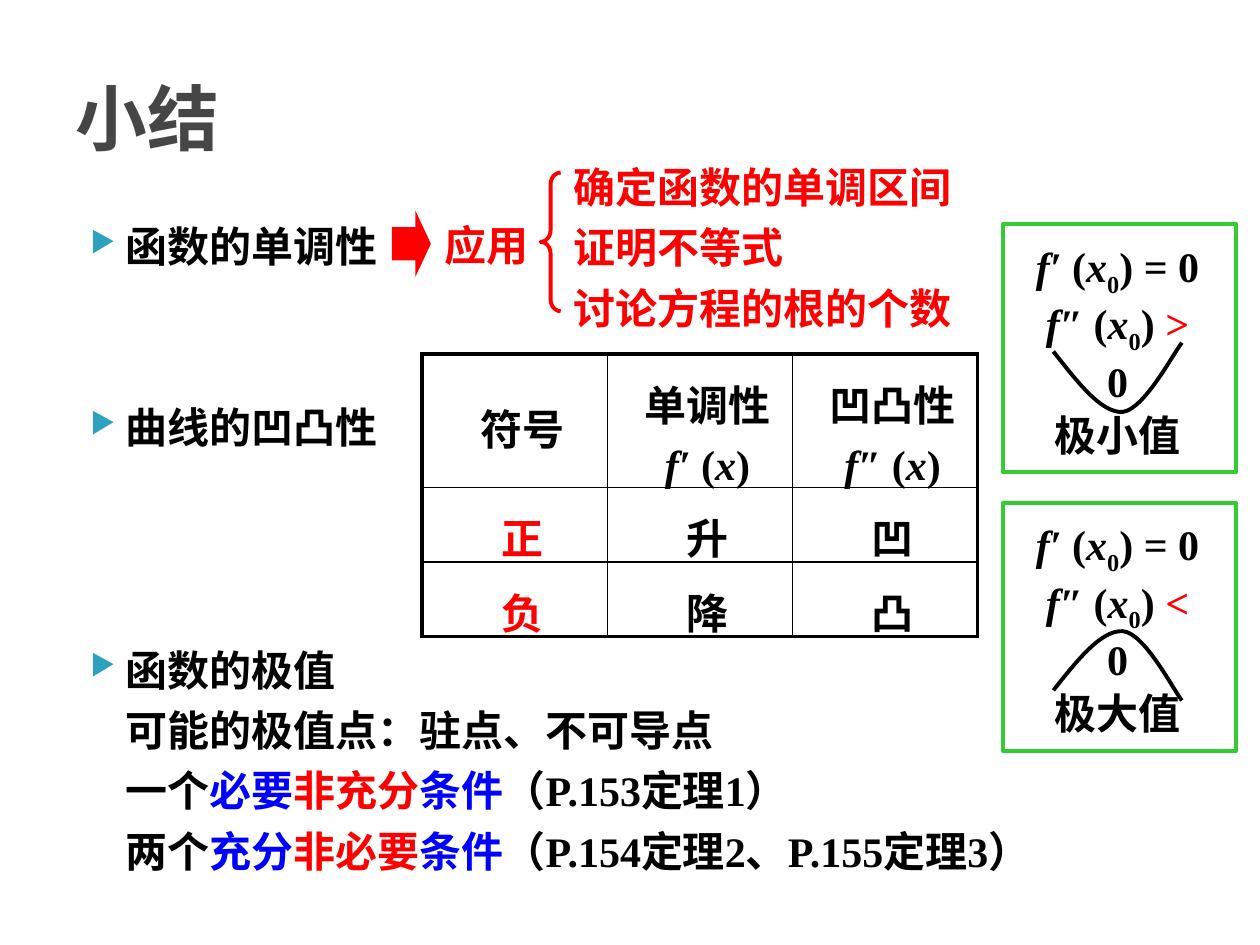
from lxml.etree import SubElement
from pptx import Presentation
from pptx.dml.color import RGBColor
from pptx.enum.shapes import MSO_SHAPE
from pptx.enum.text import MSO_ANCHOR, PP_ALIGN
from pptx.oxml.ns import qn
from pptx.util import Inches, Pt

BLACK, RED, BLUE, GREEN = "000000", "FF0000", "0000FF", "33CC33"
GREY, TEAL = "464646", "2DA2BF"

TITLE = "小结"
# Each line: runs, bulleted, space before in points
BODY = [
    (["函数的单调性"], True, 0),
    (["曲线的凹凸性"], True, 69),
    (["函数的极值"], True, 104),
    (["可能的极值点：驻点、不可导点"], False, 0),
    (["一个", ("必要", BLUE), ("非充分", RED), ("条件", BLUE),
      "（P.153定理1）"], False, 0),
    (["两个", ("充分", BLUE), ("非必要", RED), ("条件", BLUE),
      "（P.154定理2、P.155定理3）"], False, 0),
]
USES = ["确定函数的单调区间", "证明不等式", "讨论方程的根的个数"]
ITALIC, SUB = {"italic": True}, {"sub": True}


def prime(mark, arg):
    return [(f"f{mark} ", BLACK, ITALIC), "(", *arg, ")"]


X = [("x", BLACK, ITALIC)]
X0 = X + [("0", BLACK, SUB)]
TABLE = [
    [[["符号"]], [["单调性"], prime("′", X)], [["凹凸性"], prime("″", X)]],
    [[[("正", RED)]], [["升"]], [["凹"]]],
    [[[("负", RED)]], [["降"]], [["凸"]]],
]
ROWS, COL = [1.06, 0.59, 0.59], 1.47
# Each card: top, sign, label, curve start, three points per Bezier piece
CARDS = [
    (1.78, ">", "极小值", (8.36, 2.79),
     [(8.55, 3.03), (8.74, 3.28), (8.91, 3.27)],
     [(9.08, 3.25), (9.31, 2.81), (9.38, 2.72)]),
    (3.99, "<", "极大值", (8.36, 5.48),
     [(8.55, 5.24), (8.74, 5), (8.91, 5.01)],
     [(9.08, 5.02), (9.31, 5.47), (9.38, 5.56)]),
]

deck = Presentation()
deck.slide_width, deck.slide_height = Inches(10), Inches(7.5)
shapes = deck.slides.add_slide(deck.slide_layouts[6]).shapes


def color(code):
    return RGBColor.from_string(code)


def write(para, runs, size=24, tint=BLACK, **form):
    for key, val in form.items():
        setattr(para, key, val)
    for item in runs:
        text, hue, extra = (*((item,) if isinstance(item, str) else item),
                            tint, {})[:3] if isinstance(item, str) else (*item, {})[:3]
        run = para.add_run()
        run.text = text
        look = {"size": Pt(size), "name": "Times New Roman", "bold": True,
                "italic": extra.get("italic", False)}
        for key, val in look.items():
            setattr(run.font, key, val)
        run.font.color.rgb = color(hue)
        if extra.get("sub"):
            run.font._element.set("baseline", "-25000")


def fill(frame, lines, **form):
    for num, runs in enumerate(lines):
        para = frame.add_paragraph() if num else frame.paragraphs[0]
        write(para, runs, **form)


def box(at, lines, wrap=True, anchor=MSO_ANCHOR.TOP, **form):
    frame = shapes.add_textbox(*map(Inches, at)).text_frame
    frame.word_wrap, frame.vertical_anchor = wrap, anchor
    fill(frame, lines, **form)
    return frame


def indent(para, bullet):
    props = para._p.get_or_add_pPr()
    props.set("marL", str(Inches(0.4)))
    props.set("indent", str(Inches(-0.28 if bullet else 0)))
    if bullet:
        tint = SubElement(props, qn("a:buClr"))
        SubElement(tint, qn("a:srgbClr"), val=TEAL)
        SubElement(props, qn("a:buSzPct"), val="68000")
        SubElement(props, qn("a:buChar"), char="▶")


def stroke(shape, tint):
    shape.shadow.inherit = False
    shape.fill.background()
    shape.line.color.rgb = color(tint)
    shape.line.width = Pt(2.25)


def preset(kind, at, adjust=()):
    shape = shapes.add_shape(kind, *map(Inches, at))
    shape.shadow.inherit = False
    for num, val in enumerate(adjust):
        shape.adjustments[num] = val
    return shape


def border(cell, widths):
    props = cell._tc.get_or_add_tcPr()
    for num, (side, width) in enumerate(zip("LRTB", widths)):
        line = props.makeelement(qn(f"a:ln{side}"), {"w": str(Pt(width))})
        solid = SubElement(line, qn("a:solidFill"))
        SubElement(solid, qn("a:srgbClr"), val=BLACK)
        props.insert(num, line)


def curve(start, *pieces):
    """Draw a cubic Bezier outline through the given pieces."""
    pts = [start] + [pt for piece in pieces for pt in piece]
    pen = shapes.build_freeform(*map(Inches, start))
    pen.add_line_segments([tuple(map(Inches, pt)) for pt in pts[1:]], close=False)
    shape = pen.convert_to_shape()
    stroke(shape, BLACK)
    track = shape._element.find(".//" + qn("a:path"))
    lines = track.findall(qn("a:lnTo"))
    for num in range(0, len(lines), 3):
        bend = SubElement(track, qn("a:cubicBezTo"))
        for line in lines[num:num + 3]:
            bend.append(line[0])
            track.remove(line)


frame = box((0.5, 1.62, 9, 5.37), [])
for num, (runs, bullet, gap) in enumerate(BODY):
    para = frame.add_paragraph() if num else frame.paragraphs[0]
    form = {"line_spacing": 1.2}
    if gap:
        form["space_before"] = Pt(gap)
    for key, val in form.items():
        setattr(para, key, val)
    indent(para, bullet)
    write(para, runs)

box((0.5, 0.3, 9, 1.25), [[TITLE]], anchor=MSO_ANCHOR.MIDDLE, size=41, tint=GREY)
box((4.45, 1.15, 3.7, 1.54), [[use] for use in USES], tint=RED, line_spacing=1.2)
box((3.43, 1.69, 0.95, 0.5), [["应用"]], wrap=False, tint=RED)
stroke(preset(MSO_SHAPE.LEFT_BRACE, (4.29, 1.37, 0.16, 1.1), (0.58, 0.5)), RED)
arrow = preset(MSO_SHAPE.RIGHT_ARROW, (3.11, 1.67, 0.31, 0.53), (0.5, 0.4))
arrow.fill.solid()
arrow.fill.fore_color.rgb = color(RED)
arrow.line.fill.background()

last = len(ROWS) - 1
table = shapes.add_table(len(ROWS), len(TABLE[0]), Inches(3.35), Inches(2.81),
                         Inches(COL * 3), Inches(sum(ROWS))).table
for row, tall in enumerate(ROWS):
    table.rows[row].height = Inches(tall)
    for col, lines in enumerate(TABLE[row]):
        table.columns[col].width = Inches(COL)
        cell = table.cell(row, col)
        cell.fill.background()
        if row == col == 0:
            cell.vertical_anchor = MSO_ANCHOR.MIDDLE
        fill(cell.text_frame, lines, alignment=PP_ALIGN.CENTER, line_spacing=1.2)
        for para in cell.text_frame.paragraphs:
            para._p.get_or_add_pPr().set("marL", str(Inches(0.12)))
        edges = (col == 0, col == last, row == 0, row == last)
        border(cell, [2.25 if edge else 1 for edge in edges])

for top, sign, label, *bend in CARDS:
    stroke(preset(MSO_SHAPE.RECTANGLE, (7.96, top, 1.85, 1.97)), GREEN)
    curve(*bend)
    box((8.27, top + 1.42, 1.21, 0.5), [[label]], wrap=False)
    box((8.09, top + 0.08, 1.56, 0.9),
        [prime("′", X0) + [" = 0"], prime("″", X0) + [" ", (sign, RED), " 0"]],
        alignment=PP_ALIGN.CENTER)

deck.save("out.pptx")
